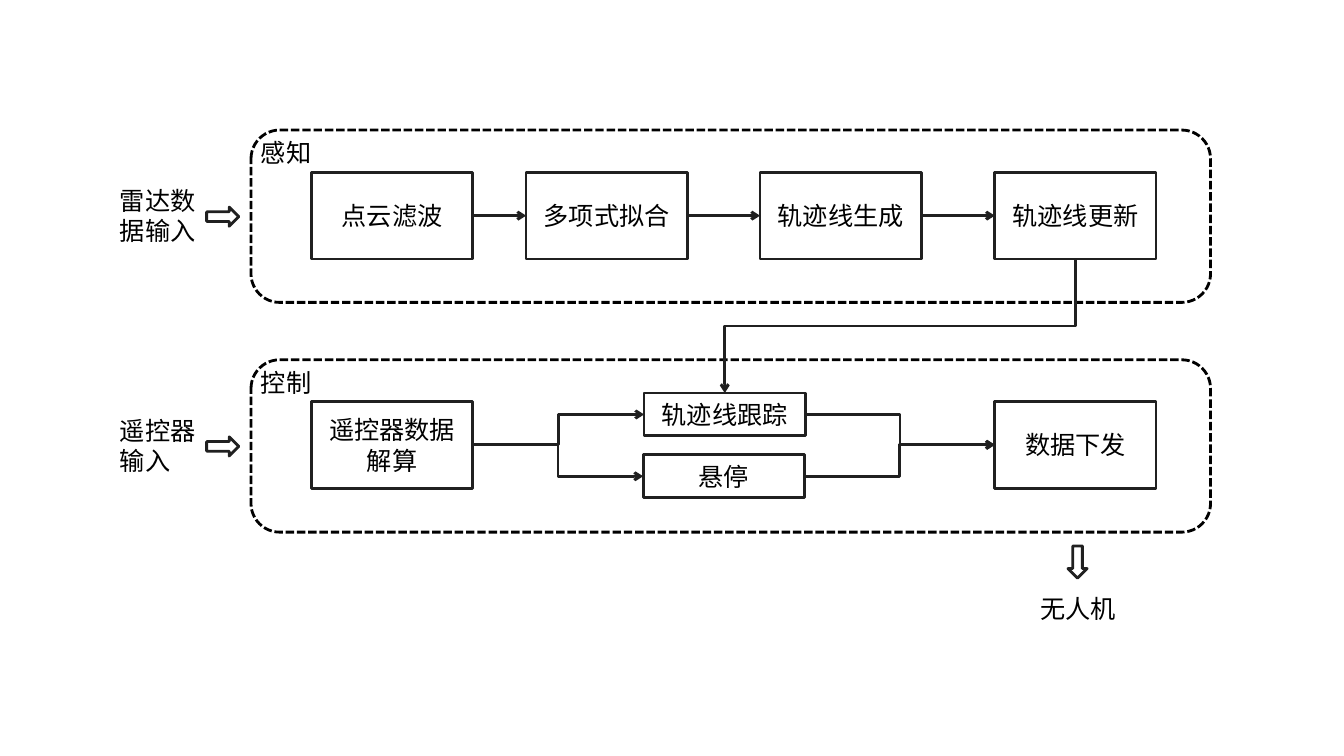
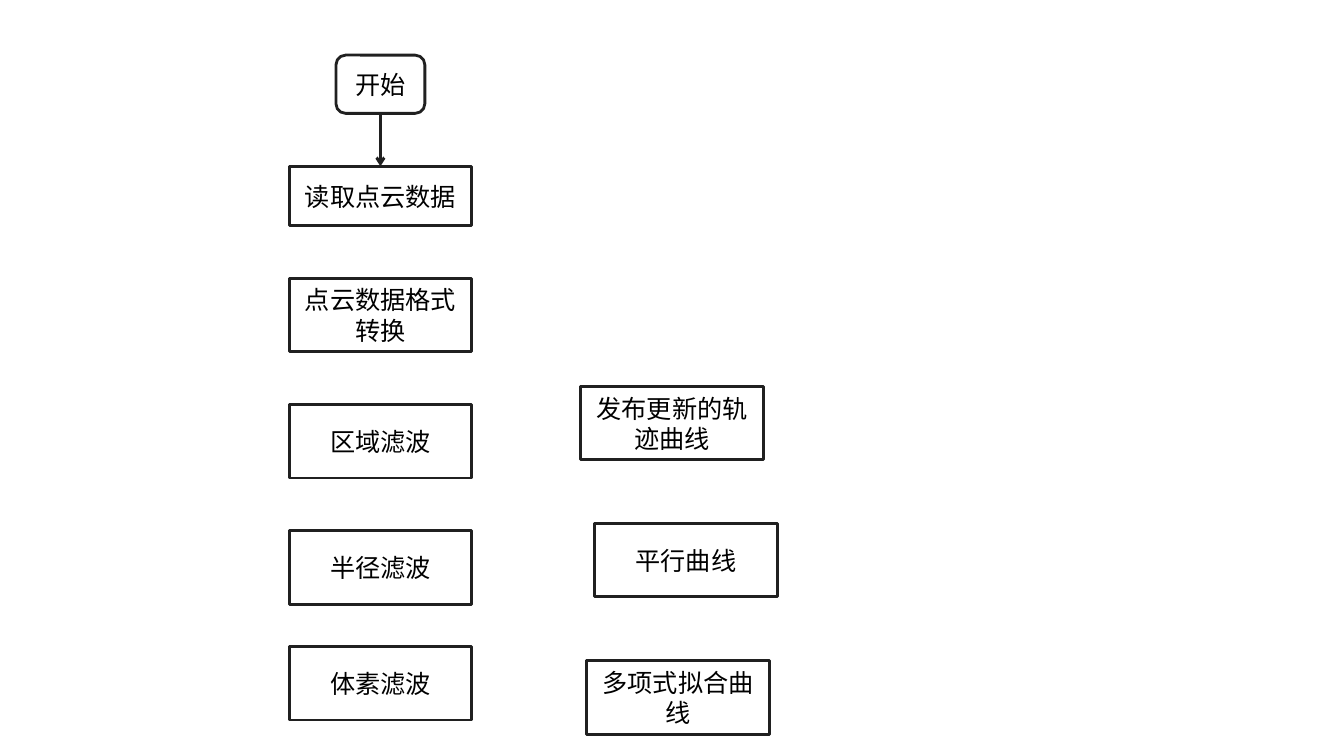
import dataclasses
import typing

import pptx
import pptx.dml.color
import pptx.enum.dml
import pptx.enum.shapes
import pptx.enum.text
import pptx.oxml.ns
import pptx.shapes.autoshape
import pptx.slide
import pptx.util
from lxml import etree

Pt = pptx.util.Pt
Kind = pptx.enum.shapes.MSO_SHAPE
Link = pptx.enum.shapes.MSO_CONNECTOR
Align = pptx.enum.text.PP_ALIGN
Anchor = pptx.enum.text.MSO_ANCHOR
Shape = pptx.shapes.autoshape.Shape
Slide = pptx.slide.Slide
qn = pptx.oxml.ns.qn

# Shared look
BLACK = pptx.dml.color.RGBColor(0x00, 0x00, 0x00)
INK = pptx.dml.color.RGBColor(0x20, 0x20, 0x20)
WHITE = pptx.dml.color.RGBColor(0xFF, 0xFF, 0xFF)
FONT = {"name": "Arial", "size": Pt(18)}
BOXED = {"word_wrap": True, "vertical_anchor": Anchor.MIDDLE}
LABEL = {"word_wrap": True, "vertical_anchor": Anchor.TOP}
STROKE = Pt(2)

# Connection sites of a rectangle
TOP, LEFT, BASE, RIGHT = range(4)


@dataclasses.dataclass(frozen=True)
class Box:
    """A step or label, measured in points."""
    text: str
    x: float
    y: float
    w: float
    h: float
    kind: Kind = Kind.RECTANGLE


def apply(target: typing.Any, values: dict) -> None:
    for name, value in values.items():
        setattr(target, name, value)


def write(shape: Shape, text: str, frame: dict, align: Align) -> None:
    apply(shape.text_frame, frame)
    par = shape.text_frame.paragraphs[0]
    par.alignment = align
    run = par.add_run()
    run.text = text
    apply(run.font, FONT)
    run.font.color.rgb = BLACK


def outline(slide: Slide, box: Box) -> Shape:
    shape = slide.shapes.add_shape(
        box.kind, Pt(box.x), Pt(box.y), Pt(box.w), Pt(box.h))
    shape.shadow.inherit = False
    shape.fill.background()
    shape.line.color.rgb = INK
    shape.line.width = STROKE
    return shape


def step(slide: Slide, box: Box) -> Shape:
    shape = outline(slide, box)
    write(shape, box.text, BOXED, Align.CENTER)
    return shape


def label(slide: Slide, box: Box) -> None:
    shape = slide.shapes.add_textbox(
        Pt(box.x), Pt(box.y), Pt(box.w), Pt(box.h))
    write(shape, box.text, LABEL, Align.LEFT)


def panel(slide: Slide, y: float) -> None:
    box = Box("", 179.3, y, 685.4, 123.1, Kind.ROUNDED_RECTANGLE)
    shape = outline(slide, box)
    shape.fill.solid()
    shape.fill.fore_color.rgb = WHITE
    shape.line.color.rgb = BLACK
    shape.line.dash_style = pptx.enum.dml.MSO_LINE.SQUARE_DOT


def arrow(slide: Slide, x: float, y: float, turn: float = 0) -> None:
    outline(slide, Box("", x, y, 23, 13.7, Kind.RIGHT_ARROW)).rotation = turn


def join(slide: Slide, start: Shape, end: Shape, out: int = RIGHT,
         into: int = LEFT, kind: Link = Link.STRAIGHT) -> None:
    line = slide.shapes.add_connector(kind, 0, 0, 0, 0)
    line.begin_connect(start, out)
    line.end_connect(end, into)
    line.line.color.rgb = INK
    line.line.width = STROKE
    props = line._element.spPr
    edge = props.find(qn("a:ln"))
    etree.SubElement(edge, qn("a:tailEnd"), type="arrow")
    etree.SubElement(props, qn("a:effectLst"))
    if kind == Link.ELBOW and out == BASE:
        stand(line)


def stand(line: typing.Any) -> None:
    """Turn an elbow that runs down and left so it leaves downwards."""
    wide, high = line.width, line.height
    shift = (wide - high) // 2
    place = {"left": line.left + shift, "top": line.top - shift,
             "width": high, "height": wide}
    apply(line, place)
    frame = line._element.spPr.find(qn("a:xfrm"))
    for flip in ("flipH", "flipV"):
        frame.attrib.pop(flip, None)
    frame.set("rot", "5400000")


def draw_system(slide: Slide) -> None:
    # Dashed panels, each with its name and its input
    sense_y, steer_y = 92.9, 257
    for y, name, source in ((steer_y, "控制", "遥控器输入"),
                            (sense_y, "感知", "雷达数据输入")):
        panel(slide, y)
        label(slide, Box(name, 179.3, y + 1.5, 55.4, 29))
        label(slide, Box(source, 78.5, y + 36, 68.4, 51))
        arrow(slide, 147.6, y + 55)

    # Sensing row
    wide, high, drop = 115.2, 61.9, 30.2
    first, last = 222.5, 710.6
    names = ("点云滤波", "多项式拟合", "轨迹线生成", "轨迹线更新")
    row = [step(slide, Box(name, x, sense_y + drop, wide, high))
           for name, x in zip(names, (first, 375.8, 542.9, last))]
    for start, end in zip(row, row[1:]):
        join(slide, start, end)

    # Control row with two branches
    solve, send = (
        step(slide, Box(name, x, steer_y + drop - 0.4, wide, high))
        for name, x in (("遥控器数据解算", first), ("数据下发", last)))
    track = step(slide, Box("轨迹线跟踪", 460.1, 280.8, wide, 30.6))
    hover = step(slide, Box("悬停", 459.4, 324.9, wide, 30.6))
    join(slide, row[-1], track, BASE, TOP, Link.ELBOW)
    for branch in (track, hover):
        join(slide, solve, branch, kind=Link.ELBOW)
        join(slide, branch, send, kind=Link.ELBOW)

    # Output
    arrow(slide, 758.2, 394.6, 90)
    label(slide, Box("无人机", 735.8, 420.5, 71.3, 29))


def draw_flow(slide: Slide) -> None:
    wide, high, left = 130.3, 52.6, 206.6

    # Start and first step
    start = step(slide, Box("开始", 240, 39.4, 63.5, 41.6,
                            Kind.ROUNDED_RECTANGLE))
    read = step(slide, Box("读取点云数据", left, 118.8, wide, 42.5))
    join(slide, start, read, BASE, TOP)

    # Filter column, then curve steps
    for name, x, y in (("点云数据格式转换", left, 198.7),
                       ("区域滤波", left, 288.9),
                       ("半径滤波", left, 379.2),
                       ("体素滤波", left, 461.8),
                       ("发布更新的轨迹曲线", 414.9, 275.9),
                       ("多项式拟合曲线", 419.2, 471.8),
                       ("平行曲线", 424.8, 373.8)):
        step(slide, Box(name, x, y, wide, high))


def main() -> None:
    deck = pptx.Presentation()
    apply(deck, {"slide_width": Pt(960), "slide_height": Pt(540)})
    blank = deck.slide_layouts[6]
    for draw in (draw_system, draw_flow):
        draw(deck.slides.add_slide(blank))
    deck.save("out.pptx")


if __name__ == "__main__":
    main()
